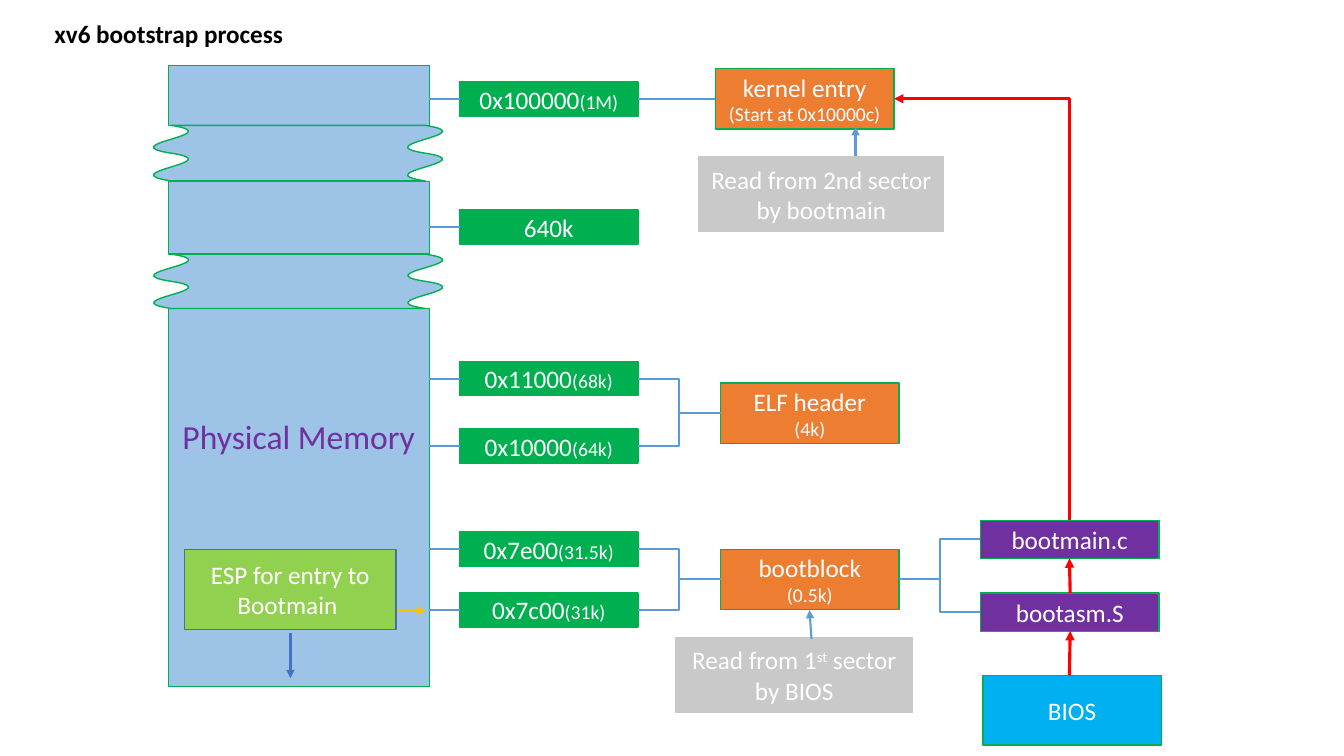
"""Draw the xv6 bootstrap process as a memory map with its loaders."""
from lxml import etree
from pptx import Presentation
from pptx import util as u
from pptx.dml import color
from pptx.enum import shapes, text
from pptx.oxml import ns

hue = color.RGBColor.from_string
kinds = shapes.MSO_SHAPE
ways = shapes.MSO_CONNECTOR
GREEN, BLUE, ORANGE, PURPLE = "00B050", "5B9BD5", "ED7D31", "7030A0"
GREY, RED, SKY, WHITE = "C9C9C9", "FF0000", "9DC3E6", "FFFFFF"

deck = Presentation()
deck.slide_width, deck.slide_height = u.Cm(33.87), u.Cm(19.05)
slide = deck.slides.add_slide(deck.slide_layouts[6])


def box(at, fill, lines=(), edge=GREEN, kind=kinds.FLOWCHART_PROCESS, ink=WHITE, bold=False):
    spot = [u.Cm(n) for n in at]
    if kind is None:
        shape = slide.shapes.add_textbox(*spot)
    else:
        shape = slide.shapes.add_shape(kind, *spot)
        shape.shadow.inherit = False
        shape.fill.solid()
        shape.fill.fore_color.rgb = hue(fill)
        if edge:
            shape.line.color.rgb = hue(edge)
            shape.line.width = u.Pt(1)
        else:
            shape.line.fill.background()
    frame = shape.text_frame
    frame.word_wrap = True
    for i, line in enumerate(lines):
        para = frame.add_paragraph() if i else frame.paragraphs[0]
        if kind is not None:
            para.alignment = text.PP_ALIGN.CENTER
        for words, size, *base in line:
            run = para.add_run()
            run.text = words
            look = {"name": "Calibri", "size": u.Pt(size), "bold": bold}
            for key, val in look.items():
                setattr(run.font, key, val)
            run.font.color.rgb = hue(ink)
            if base:
                run._r.get_or_add_rPr().set("baseline", base[0])
    return shape


def wire(ends, tint=BLUE, width=1.5, way=ways.STRAIGHT, tip=False):
    line = slide.shapes.add_connector(way, *[u.Cm(n) for n in ends])
    line.line.color.rgb = hue(tint)
    line.line.width = u.Pt(width)
    if tip:
        etree.SubElement(line.line._get_or_add_ln(), ns.qn("a:tailEnd"), type="triangle")
    etree.SubElement(line._element.spPr, ns.qn("a:effectLst"))
    return line


box((1.12, 0.33, 12.73, 1.02), None, [[("xv6 bootstrap process", 18)]],
    kind=None, ink="000000", bold=True)

memory = box((4.24, 7.77, 6.58, 9.53), SKY, [[("Physical Memory", 24)]], ink=PURPLE)
memory.text_frame.margin_bottom = u.Cm(3.2)
for top, high in ((4.57, 1.83), (1.65, 1.52)):
    box((4.24, top, 6.58, high), SKY)
for at in ((6.83, 3.43, 1.37, 7.32), (6.81, 0.2, 1.4, 7.32)):
    box(at, SKY, kind=kinds.DOUBLE_WAVE).rotation = 90

labels = [
    (2.5, "0x100000", "(1M)"), (5.72, "640k", ""),
    (9.54, "0x11000", "(68k)"), (11.24, "0x10000", "(64k)"),
    (13.84, "0x7e00", "(31.5k)"), (15.37, "0x7c00", "(31k)"),
]
for mid, name, size in labels:
    runs = [(name, 18)] + ([(size, 14)] if size else [])
    box((11.58, mid - 0.43, 4.5, 0.86), GREEN, [runs])
    wire((11.58, mid, 10.8, mid))

stages = [
    (18.03, 1.73, "kernel entry", "(Start at 0x10000c)"),
    (18.16, 9.65, "ELF header", "(4k)"),
    (18.16, 13.84, "bootblock", "(0.5k)"),
]
for left, top, name, note in stages:
    box((left, top, 4.5, 1.52), ORANGE, [[(name, 18)], [(note, 14)]])

for top, name in ((13.11, "bootmain.c"), (14.94, "bootasm.S")):
    box((24.71, top, 4.5, 0.97), PURPLE, [[(name, 18)]])
box((24.77, 17.02, 4.5, 1.75), "00B0F0", [[("BIOS", 18)]])

box((17.02, 16.05, 5.99, 1.91), GREY,
    [[("Read from 1", 18), ("st", 18, "30000"), (" sector by BIOS", 18)]], edge=None)
box((17.6, 3.94, 6.2, 1.91), GREY, [[("Read from 2nd sector by bootmain", 18)]], edge=None)
box((4.65, 13.84, 5.33, 2.03), "92D050", [[("ESP for entry to Bootmain ", 18)]],
    edge="43739E", kind=kinds.RECTANGLE)

wire((16.08, 2.5, 18.03, 2.5))
for start, stop in ((9.54, 10.41), (11.24, 10.41), (13.84, 14.6), (15.37, 14.6)):
    wire((16.08, start, 18.16, stop), way=ways.ELBOW)
for stop in (13.59, 15.42):
    wire((22.66, 14.6, 24.71, stop), way=ways.ELBOW)

arrows = [
    ((26.97, 14.94, 26.95, 14.07), RED, 2.25),
    ((26.95, 17.02, 26.97, 15.9), RED, 2.25),
    ((10.01, 15.39, 10.72, 15.39), "FFC000", 1.5),
    ((7.32, 15.95, 7.32, 17.09), "4472C4", 1.5),
    ((21.56, 3.94, 21.56, 3.2), BLUE, 1.5),
    ((20.45, 16.1, 20.4, 15.37), BLUE, 1.5),
]
for ends, tint, width in arrows:
    wire(ends, tint, width, tip=True)

jump = wire((19.43, 10.01, 30.05, 5.59), RED, 2.25, ways.ELBOW, True)
jump._element.spPr.find(ns.qn("a:prstGeom")).set("prst", "bentConnector2")
jump._element.spPr.find(ns.qn("a:xfrm")).set("rot", "16200000")

deck.save("out.pptx")
